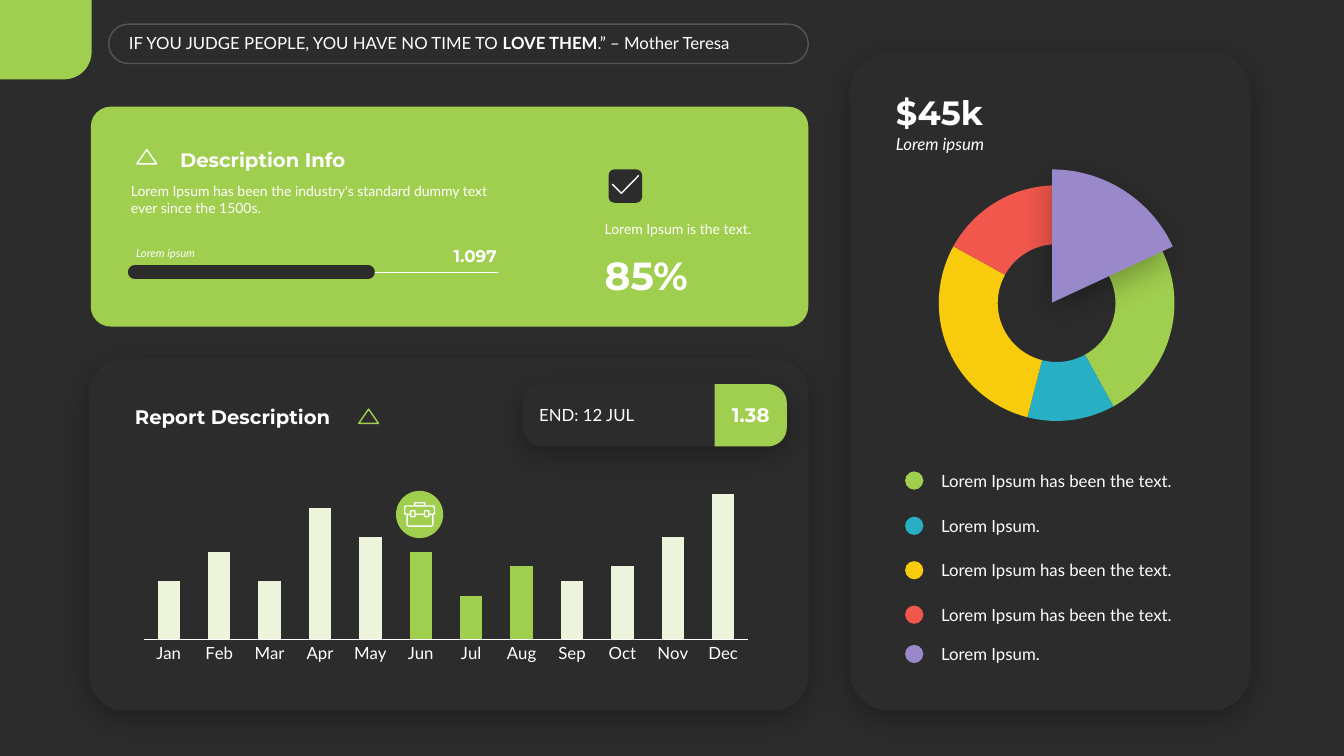
from dataclasses import dataclass
from math import cos, pi, sin

from lxml import etree
from pptx import Presentation
from pptx.chart.data import CategoryChartData
from pptx.dml.color import RGBColor
from pptx.enum.chart import XL_CHART_TYPE, XL_TICK_MARK
from pptx.enum.shapes import MSO_CONNECTOR, MSO_SHAPE
from pptx.enum.text import MSO_ANCHOR, MSO_AUTO_SIZE, PP_ALIGN
from pptx.oxml import parse_xml
from pptx.oxml.ns import nsdecls, qn
from pptx.util import Cm, Pt


@dataclass(frozen=True)
class Theme:
    dark: str = "2C2C2C"
    white: str = "FFFFFF"
    green: str = "A0CE4E"
    pale: str = "ECF5DC"
    teal: str = "28AFC3"
    yellow: str = "F8CB0C"
    red: str = "F1574D"
    violet: str = "9989CA"
    body: str = "Lato"
    head: str = "Montserrat"
    tiny: int = 8
    small: int = 10
    text: int = 12
    title: int = 14
    big: int = 24
    huge: int = 28


theme = Theme()
deck = Presentation()
deck.slide_width, deck.slide_height = Cm(33.87), Cm(19.05)
slide = deck.slides.add_slide(deck.slide_layouts[6])
slide.background.fill.solid()
slide.background.fill.fore_color.rgb = RGBColor.from_string(theme.dark)
shapes = slide.shapes


def paint(form, fill=None, line=None, width=1, lift=False):
    form.shadow.inherit = False
    if fill:
        form.fill.solid()
        form.fill.fore_color.rgb = RGBColor.from_string(fill)
    else:
        form.fill.background()
    if line:
        form.line.color.rgb = RGBColor.from_string(line)
        form.line.width = Pt(width)
    else:
        form.line.fill.background()
    if lift:
        glow = parse_xml(
            f'<a:outerShdw {nsdecls("a")} blurRad="{Pt(23)}" dist="{Pt(6)}" dir="5400000" '
            'algn="t" rotWithShape="0"><a:srgbClr val="000000"><a:alpha val="30000"/>'
            '</a:srgbClr></a:outerShdw>')
        form.element.spPr.find(qn("a:effectLst")).append(glow)
    return form


def write(box, runs, size, face=theme.body, anchor="MIDDLE", align="LEFT",
          left=0.25, right=0.25, **style):
    frame = shapes.add_textbox(*map(Cm, box)).text_frame
    form = {"word_wrap": True, "auto_size": MSO_AUTO_SIZE.SHAPE_TO_FIT_TEXT,
            "vertical_anchor": MSO_ANCHOR[anchor],
            "margin_left": Cm(left), "margin_right": Cm(right),
            "margin_top": Cm(0.13), "margin_bottom": Cm(0.13)}
    for key, value in form.items():
        setattr(frame, key, value)
    para = frame.paragraphs[0]
    para.alignment = PP_ALIGN[align]
    for text, bold in runs:
        run = para.add_run()
        run.text = text
        run.font.color.rgb = RGBColor.from_string(theme.white)
        look = {"name": face, "size": Pt(size), "bold": bold, **style}
        for key, value in look.items():
            setattr(run.font, key, value)


# Cards and pills
cards = [
    ((2.74, 0.61, 17.63, 0.99), 0.5, None, theme.white, False),
    ((2.29, 2.69, 18.08, 5.54), 0.09, theme.green, None, False),
    ((15.34, 4.27, 0.84, 0.84), 0.17, theme.dark, None, False),
    ((2.24, 9.04, 18.14, 8.86), 0.1, theme.dark, None, True),
    ((13.18, 9.68, 6.63, 1.57), 0.31, theme.dark, None, True),
    ((21.41, 1.32, 10.11, 16.59), 0.1, theme.dark, None, True),
]
for box, curve, fill, line, lift in cards:
    card = shapes.add_shape(MSO_SHAPE.ROUNDED_RECTANGLE, *map(Cm, box))
    card.adjustments[0] = curve
    paint(card, fill, line, lift=lift)
    if line:
        tone = card.line.fill._xPr.find(".//" + qn("a:srgbClr"))
        etree.SubElement(tone, qn("a:alpha")).set("val", "20000")

# Green tab and tag, rounded on the right
for x, y, wide, high, top, low in [(0, 0, 2.31, 2, 0, 0.69),
                                   (18.01, 9.68, 1.82, 1.57, 0.48, 0.48)]:
    edge = [(x, y)]
    for step in range(13):
        turn = pi / 24 * step
        edge.append((x + wide - top + top * sin(turn), y + top - top * cos(turn)))
    for step in range(13):
        turn = pi / 24 * step
        edge.append((x + wide - low + low * cos(turn), y + high - low + low * sin(turn)))
    edge.append((x, y + high))
    spots = [(Cm(a), Cm(b)) for a, b in edge]
    shape = shapes.build_freeform(*spots[0])
    shape.add_line_segments(spots[1:])
    paint(shape.convert_to_shape(), theme.green)

# Triangles and check mark
for x, y, tone in [(3.45, 3.77, theme.white), (9.04, 10.31, theme.green)]:
    paint(shapes.add_shape(MSO_SHAPE.ISOSCELES_TRIANGLE, Cm(x), Cm(y), Cm(0.5), Cm(0.36)),
          line=tone)
check = shapes.build_freeform(Cm(15.43), Cm(4.64))
check.add_line_segments([(Cm(15.66), Cm(4.87)), (Cm(16.1), Cm(4.42))], close=False)
paint(check.convert_to_shape(), line=theme.white)

# Progress bar
for end, tone, width in [(12.55, theme.white, 0.5), (9.27, theme.dark, 10)]:
    bar = shapes.add_connector(MSO_CONNECTOR.STRAIGHT, Cm(3.4), Cm(6.86), Cm(end), Cm(6.86))
    bar.line.color.rgb = RGBColor.from_string(tone)
    bar.line.width = Pt(width)
    bar.line.fill._xPr.set("cap", "rnd")
    etree.SubElement(bar.element.spPr, qn("a:effectLst"))

# Texts
write((3.15, 0.71, 16.64, 0.76),
      [("IF YOU JUDGE PEOPLE, YOU HAVE NO TIME TO ", False), ("LOVE THEM", True),
       (".” – Mother Teresa", False)], theme.text, left=0.1, right=0.1)
write((4.29, 3.58, 8.86, 0.86), [("Description Info", True)], theme.title, theme.head, "BOTTOM")
write((3.05, 4.47, 10.11, 1.12),
      [("Lorem Ipsum has been the industry's standard dummy text ever since the 1500s.", False)],
      theme.small, anchor="TOP")
write((3.23, 6.07, 4.88, 0.61), [("Lorem ipsum", False)], theme.tiny, anchor="BOTTOM",
      left=0.2, italic=True)
write((10.97, 6.07, 1.65, 0.76), [("1.097", True)], theme.text, theme.head, "BOTTOM",
      "RIGHT", right=0.1)
write((14.99, 5.41, 4.78, 0.69), [("Lorem Ipsum is the text.", False)], theme.small,
      anchor="BOTTOM")
write((14.99, 6.2, 4.78, 1.45), [("85%", True)], theme.huge, theme.head, "TOP")
write((3.15, 10.06, 8.94, 0.86), [("Report Description", True)], theme.title, theme.head)
write((13.34, 10.08, 4.83, 0.76), [("END: 12 JUL", False)], theme.text)
write((18.01, 10.03, 1.82, 0.86), [("1.38", True)], theme.title, theme.head, align="CENTER",
      left=0.1, right=0.1)
write((22.33, 2.18, 8.43, 1.27), [("$45k", True)], theme.big, theme.head, "BOTTOM", right=0.2)
write((22.33, 3.25, 8.43, 0.76), [("Lorem ipsum", False)], theme.text, anchor="TOP",
      right=0.2, italic=True)

# Charts
months = "Jan Feb Mar Apr May Jun Jul Aug Sep Oct Nov Dec".split()
plans = [
    (XL_CHART_TYPE.COLUMN_CLUSTERED, (3.3, 11.61, 15.88, 5.23), months,
     [40, 60, 40, 90, 70, 60, 30, 50, 40, 50, 70, 100],
     {5: theme.green, 6: theme.green, 7: theme.green}, theme.text, (0.02, 0.02, 0.96, 0.84)),
    (XL_CHART_TYPE.DOUGHNUT, (22.5, 4.34, 8.26, 6.6), list("1234"), [42, 12, 29, 17],
     dict(enumerate([theme.green, theme.teal, theme.yellow, theme.red])),
     theme.small, (0.14, 0.05, 0.72, 0.9)),
]
charts = []
for kind, box, names, values, tones, size, area in plans:
    data = CategoryChartData()
    data.categories = names
    data.add_series("Series 1", values)
    chart = shapes.add_chart(kind, *map(Cm, box), data).chart
    chart.has_legend = chart.has_title = False
    plot = chart.plots[0]
    plot.has_data_labels = False
    for key, value in {"name": theme.body, "size": Pt(size)}.items():
        setattr(chart.font, key, value)
    chart.font.color.rgb = RGBColor.from_string(theme.white)
    for spot, tone in tones.items():
        point = plot.series[0].points[spot].format
        point.fill.solid()
        point.fill.fore_color.rgb = RGBColor.from_string(tone)
        point.line.fill.background()
    field = chart.element.find(".//" + qn("c:plotArea"))
    for old in field.findall(qn("c:layout")):
        field.remove(old)
    marks = "".join(f'<c:{key} val="{value}"/>' for key, value in zip("xywh", area))
    field.insert(0, parse_xml(
        f'<c:layout {nsdecls("c")}><c:manualLayout><c:layoutTarget val="inner"/>'
        f'<c:xMode val="edge"/><c:yMode val="edge"/>{marks}</c:manualLayout></c:layout>'))
    charts.append(chart)

# Column axes
report = charts[0]
plot = report.plots[0]
for key, value in {"gap_width": 125, "overlap": -27, "vary_by_categories": False}.items():
    setattr(plot, key, value)
plot.series[0].format.fill.solid()
plot.series[0].format.fill.fore_color.rgb = RGBColor.from_string(theme.pale)
scale = {"visible": False, "has_major_gridlines": False, "minimum_scale": 0, "maximum_scale": 120}
for key, value in scale.items():
    setattr(report.value_axis, key, value)
axis = report.category_axis
axis.major_tick_mark = XL_TICK_MARK.NONE
axis.format.line.color.rgb = RGBColor.from_string(theme.white)
axis.format.line.width = Pt(0.75)

# Lifted wedge
wedge = shapes.add_shape(MSO_SHAPE.ARC, Cm(23.16), Cm(4.27), Cm(6.71), Cm(6.71))
wedge.adjustments[0], wedge.adjustments[1] = 162, 201.05
paint(wedge, theme.violet, lift=True)

# Legend
long, short = "Lorem Ipsum has been the text.", "Lorem Ipsum."
for y, tone, label in [(12.11, theme.green, long), (13.25, theme.teal, short),
                       (14.37, theme.yellow, long), (15.49, theme.red, long),
                       (16.48, theme.violet, short)]:
    paint(shapes.add_shape(MSO_SHAPE.OVAL, Cm(22.81), Cm(y - 0.23), Cm(0.46), Cm(0.46)), tone)
    write((23.47, y - 0.38, 6.93, 0.76), [(label, False)], theme.text)

# Briefcase badge
paint(shapes.add_shape(MSO_SHAPE.OVAL, Cm(9.98), Cm(12.37), Cm(1.19), Cm(1.19)), theme.green)
for box in [(10.45, 12.67, 0.26, 0.08), (10.26, 12.96, 0.65, 0.3), (10.2, 12.75, 0.75, 0.21),
            (10.35, 12.87, 0.11, 0.15), (10.7, 12.87, 0.11, 0.15)]:
    part = shapes.add_shape(MSO_SHAPE.ROUNDED_RECTANGLE, *map(Cm, box))
    paint(part, theme.green, theme.white)

deck.save("out.pptx")
